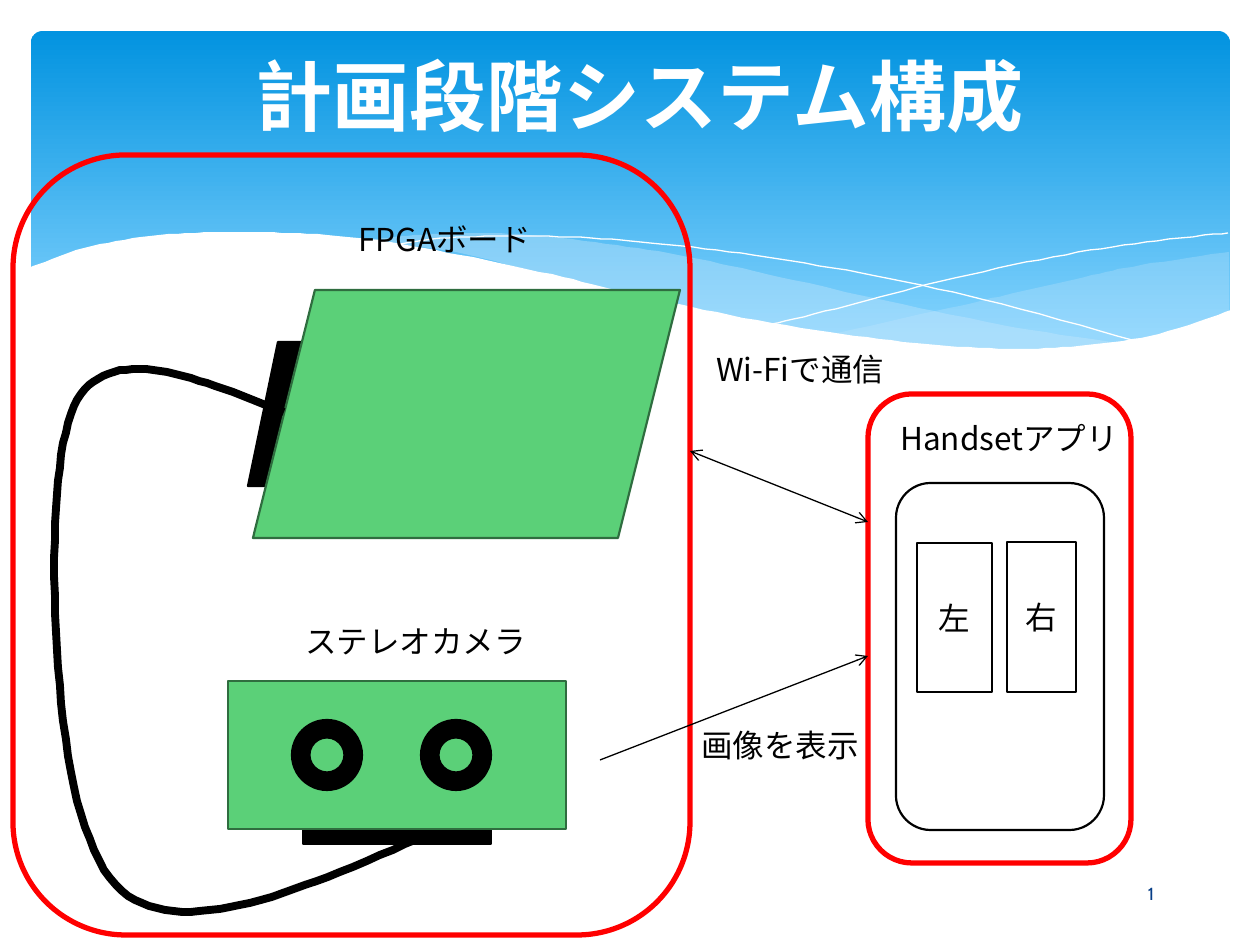
from dataclasses import dataclass

from lxml.etree import SubElement
from pptx import Presentation
from pptx.dml.color import RGBColor
from pptx.enum.shapes import MSO_CONNECTOR, MSO_SHAPE
from pptx.enum.text import MSO_ANCHOR, MSO_AUTO_SIZE, PP_ALIGN
from pptx.oxml.ns import qn
from pptx.util import Inches, Pt

SCALE = 914400 / 126  # EMU per px


@dataclass(frozen=True)
class Theme:
    font: str = "Noto Sans CJK JP"
    digit: str = "Cabin"
    white: str = "FFFFFF"
    black: str = "000000"
    red: str = "FF0000"
    green: str = "5BD078"
    edge: str = "2F6D3F"
    sky: str = "0293E0"
    pale: str = "83D3FE"
    mist: str = "C6E7FC"
    navy: str = "073E87"
    head: int = 44
    body: int = 18
    small: int = 10
    thin: float = 0.75
    line: float = 1.25
    frame: float = 3
    cable: float = 4.5


def px(*vals):
    return [round(v * SCALE) for v in vals]


def apply(obj, vals):
    for key, val in vals.items():
        setattr(obj, key, val)


def smooth(pts, steps=8):
    """Sample a Catmull-Rom curve through the points."""
    ends = [pts[0], *pts, pts[-1]]
    out = [pts[0]]
    for a, b, c, d in zip(ends, ends[1:], ends[2:], ends[3:]):
        for i in range(1, steps + 1):
            t = i / steps
            out.append(tuple(
                q + t / 2 * (r - p + t * (2 * p - 5 * q + 4 * r - s
                                          + t * (3 * q - p - 3 * r + s)))
                for p, q, r, s in zip(a, b, c, d)))
    return out


class Board:
    """Holds the theme and the slide being drawn."""

    def __init__(self, slide, theme):
        self.slide, self.theme = slide, theme
        self.shapes = slide.shapes

    def paint(self, shape, fill=None, line=None, width=None, alpha=None):
        shape.shadow.inherit = False
        if fill:
            shape.fill.solid()
            shape.fill.fore_color.rgb = RGBColor.from_string(fill)
            if alpha:
                tint = shape._element.spPr.find(".//" + qn("a:srgbClr"))
                SubElement(tint, qn("a:alpha"), val=str(alpha * 1000))
        else:
            shape.fill.background()
        if line:
            shape.line.color.rgb = RGBColor.from_string(line)
            shape.line.width = Pt(self.theme.line if width is None else width)
        else:
            shape.line.fill.background()

    def letter(self, shape, text, size=None, color=None, font=None,
               bold=False, align=PP_ALIGN.CENTER, anchor=MSO_ANCHOR.MIDDLE):
        look = self.theme
        frame = shape.text_frame
        apply(frame, {"word_wrap": True, "vertical_anchor": anchor,
                      "auto_size": MSO_AUTO_SIZE.NONE})
        para = frame.paragraphs[0]
        para.alignment = align
        run = para.add_run()
        run.text = text
        face = font or look.font
        apply(run.font, {"size": Pt(size or look.body), "bold": bold,
                         "name": face})
        run.font.color.rgb = RGBColor.from_string(color or look.black)
        SubElement(run._r.get_or_add_rPr(), qn("a:ea"), typeface=face)

    def title(self, text, box):
        shape = self.shapes.title
        apply(shape, dict(zip(("left", "top", "width", "height"), px(*box))))
        self.shapes._spTree.append(shape._element)  # in front of the waves
        self.letter(shape, text, self.theme.head, self.theme.white, bold=True)

    def shape(self, kind, box, text=None, **style):
        item = self.shapes.add_shape(kind, *px(*box))
        self.paint(item, **style)
        if text:
            self.letter(item, text)
        return item

    def label(self, text, box, **style):
        self.letter(self.shapes.add_textbox(*px(*box)), text, **style)

    def curve(self, *strokes, close=False, **style):
        """Join smoothed strokes into one outline; two points stay straight."""
        pts = [p for s in strokes for p in (smooth(s) if len(s) > 2 else s)]
        pen = self.shapes.build_freeform(*pts[0], scale=SCALE)
        pen.add_line_segments(pts[1:], close=close)
        self.paint(pen.convert_to_shape(), **style)

    def arrow(self, start, end, tips):
        item = self.shapes.add_connector(MSO_CONNECTOR.STRAIGHT,
                                         *px(*start, *end))
        item.line.color.rgb = RGBColor.from_string(self.theme.black)
        item.line.width = Pt(self.theme.thin)
        edge = item._element.spPr.find(qn("a:ln"))
        for tip in tips:
            SubElement(edge, qn("a:" + tip), type="arrow")
        SubElement(item._element.spPr, qn("a:effectLst"))


def banner(board):
    look = board.theme
    back = board.shape(MSO_SHAPE.ROUNDED_RECTANGLE, (31, 31, 1199, 340))
    back.adjustments[0] = 0.034
    back.fill.gradient()
    back.fill.gradient_angle = 270
    for stop, color, at in zip(back.fill.gradient_stops,
                               (look.sky, look.pale), (0, 0.9)):
        stop.color.rgb = RGBColor.from_string(color)
        stop.position = at
    board.curve(
        [(1229, 252), (1141, 265), (1085, 277), (1014, 293), (949, 308),
         (833, 334)],
        [(833, 334), (906, 342), (984, 349), (1052, 350), (1110, 345),
         (1170, 334), (1229, 311)],
        close=True, fill=look.mist, alpha=29)
    board.curve(
        [(1125, 344), (1018, 328), (934, 311), (793, 280), (699, 259),
         (617, 245), (529, 235), (455, 233), (394, 237), (360, 241)],
        [(360, 241), (456, 252), (566, 280), (713, 312), (819, 333),
         (911, 345), (989, 350), (1068, 349), (1125, 344)],
        close=True, fill=look.mist, alpha=40)
    for pts in (
            [(389, 246), (433, 239), (505, 236), (591, 238), (671, 245),
             (766, 257), (876, 276), (1002, 304), (1143, 343)],
            [(772, 324), (847, 306), (942, 281), (1053, 257), (1146, 242),
             (1228, 233)]):
        board.curve(pts, line=look.white, width=0)
    board.curve(
        [(1231, 310), (1159, 334), (1087, 345), (1019, 349), (937, 345),
         (842, 334), (730, 315), (634, 294), (563, 277), (460, 255),
         (368, 239), (290, 233), (223, 232), (150, 236), (84, 248),
         (29, 268)],
        [(29, 415), (1231, 415)], close=True, fill=look.white)


def system(board):
    look = board.theme
    ink = {"fill": look.black, "line": look.black}
    leaf = {"fill": look.green, "line": look.edge}
    paper = {"fill": look.white, "line": look.black}
    for box in ((868, 394, 263, 469), (13, 155, 677, 780)):
        board.shape(MSO_SHAPE.ROUNDED_RECTANGLE, box,
                    line=look.red, width=look.frame)
    board.title("計画段階システム構成", (73, 16, 1134, 158))

    board.shape(MSO_SHAPE.ROUNDED_RECTANGLE, (896, 483, 208, 347), **paper)
    for text, box in (("左", (917, 543, 75, 149)), ("右", (1007, 542, 69, 150))):
        board.shape(MSO_SHAPE.RECTANGLE, box, text, **paper)

    for kind, box, style in (
            (MSO_SHAPE.PARALLELOGRAM, (248, 342, 120, 144), ink),
            (MSO_SHAPE.PARALLELOGRAM, (253, 290, 427, 248), leaf),
            (MSO_SHAPE.RECTANGLE, (303, 804, 188, 40), ink),
            (MSO_SHAPE.RECTANGLE, (228, 681, 338, 148), leaf)):
        board.shape(kind, box, **style)
    board.curve(
        [(284, 412), (215, 386), (153, 370), (103, 376), (71, 414),
         (56, 509), (57, 649), (74, 787), (110, 878), (165, 910),
         (240, 905), (328, 877), (422, 837)],
        line=look.black, width=look.cable)
    for left in (292, 421):
        board.shape(MSO_SHAPE.DONUT, (left, 720, 70, 70), **ink)

    board.arrow((690, 451), (868, 522), ("headEnd", "tailEnd"))
    board.arrow((600, 760), (868, 656), ("tailEnd",))
    for text, left, top, width in (
            ("Handsetアプリ", 888, 413, 287), ("FPGAボード", 346, 214, 238),
            ("Wi-Fiで通信", 704, 344, 226), ("ステレオカメラ", 293, 616, 272),
            ("画像を表示", 689, 720, 228)):
        board.label(text, (left, top, width, 50), align=PP_ALIGN.LEFT,
                    anchor=MSO_ANCHOR.TOP)
    board.label("1", (1071, 869, 160, 50), size=look.small,
                color=look.navy, font=look.digit)


def main():
    deck = Presentation()
    apply(deck, {"slide_width": Inches(10), "slide_height": Inches(7.5)})
    board = Board(deck.slides.add_slide(deck.slide_layouts[5]), Theme())
    banner(board)
    system(board)
    deck.save("out.pptx")


if __name__ == "__main__":
    main()
